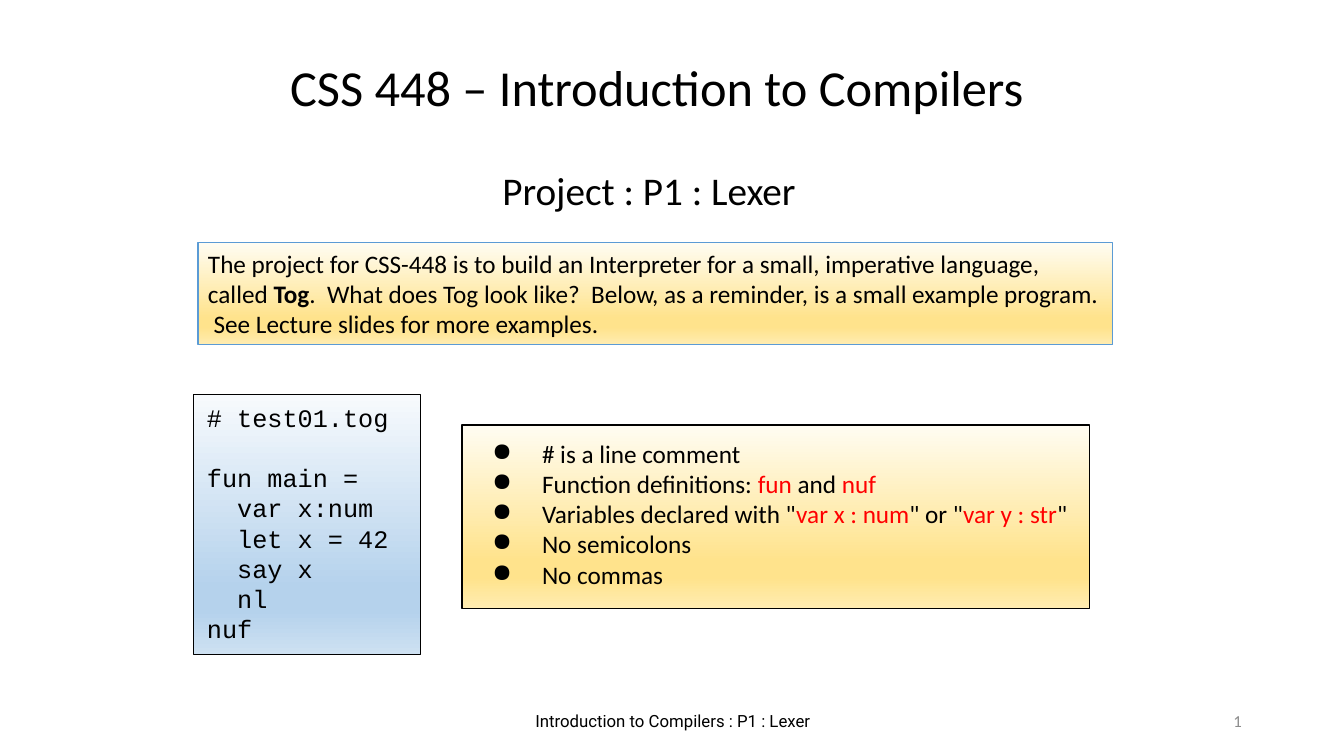
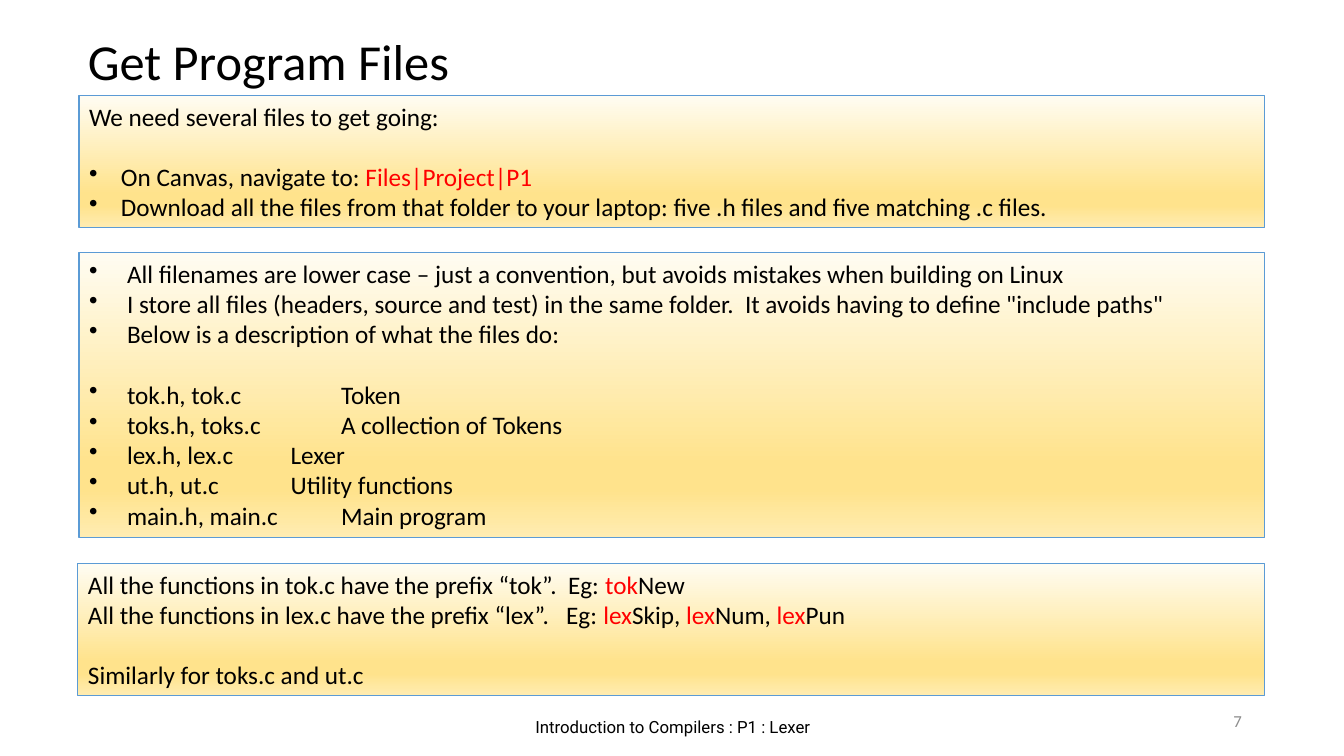
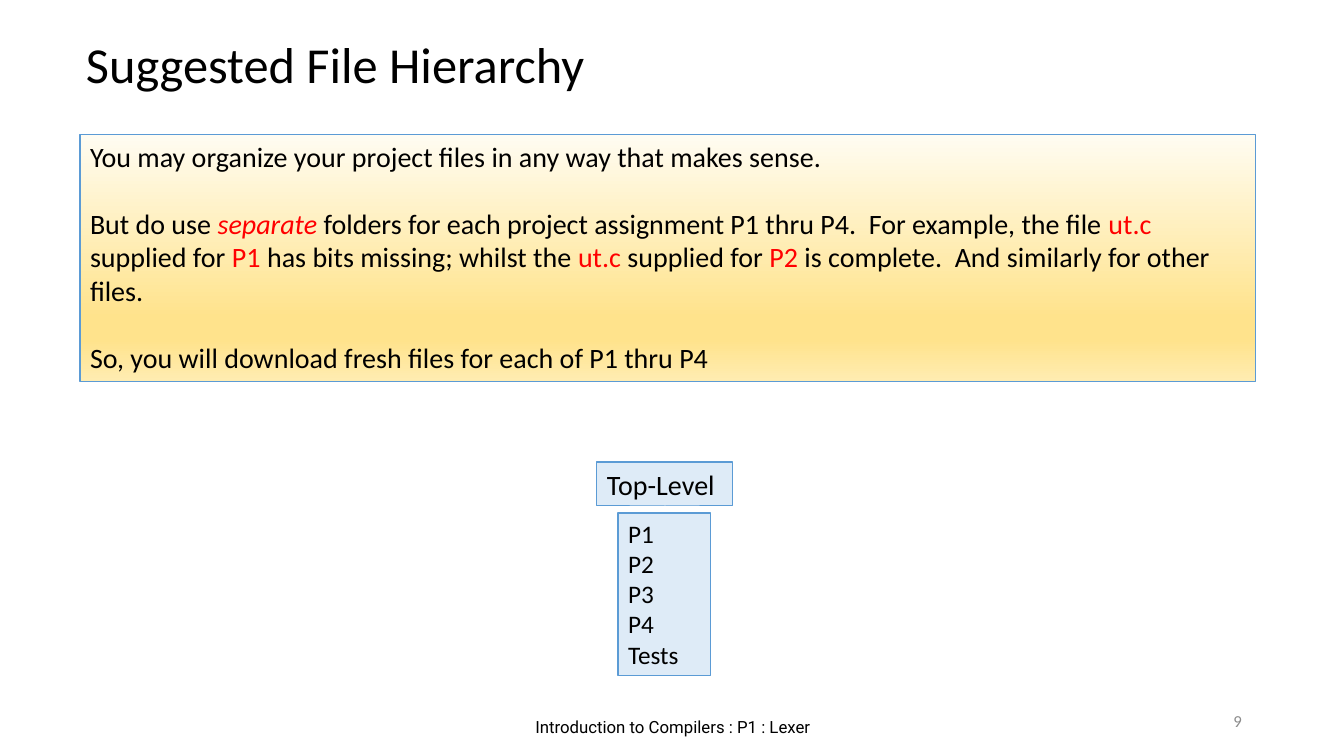
from dataclasses import dataclass

from pptx import Presentation
from pptx.dml.color import RGBColor
from pptx.enum.shapes import MSO_SHAPE
from pptx.enum.text import MSO_ANCHOR, PP_ALIGN
from pptx.oxml import parse_xml
from pptx.oxml.ns import nsdecls
from pptx.util import Emu, Pt


@dataclass(frozen=True)
class Theme:
    sans: str = "Calibri"
    mono: str = "Courier New"
    footer_font: str = "Roboto"
    black: str = "000000"
    red: str = "FF0000"
    grey: str = "8C8C8C"
    border: str = "5B9BD5"
    pale_blue: str = "DEEBF7"
    gold: tuple = ("FFFCF2", "FFE38C", "FFE38C", "FFECB2")
    blue: tuple = ("F7FAFD", "B5D2EC", "B5D2EC", "CEE1F2")
    stops: tuple = (0, 74, 83, 100)
    title: int = 36
    subtitle: int = 28
    large: int = 20
    body: int = 18
    small: int = 12
    line_height: float = 1.2


T = Theme()
BULLETS = ("•", "●")
TIGHT, ROOMY, EVEN = (10, 5), (13, 7), (13, 13)


def px(n):
    return Emu(round(n * 914400 / 100.8))


def add_text(s, at, paragraphs, size=T.body, font=T.sans, color=T.black,
             fill=None, line=T.border, inset=TIGHT, align=PP_ALIGN.LEFT,
             anchor=MSO_ANCHOR.TOP, spacing=None, indent=(0, 0)):
    """Add a text box, or a bordered rectangle when a fill is given.

    A paragraph is a string or a list of strings and (text, style) pairs;
    None leaves a line free, and a leading bullet makes a list item.
    indent is (text indent, hanging part) in px.
    """
    frame = [px(n) for n in at]
    if fill is None:
        sp = s.shapes.add_textbox(*frame)
    else:
        sp = s.shapes.add_shape(MSO_SHAPE.RECTANGLE, *frame)
        sp.shadow.inherit = False
        sp.line.color.rgb = RGBColor.from_string(line)
        sp.line.width = Pt(0.75)
        if isinstance(fill, str):
            sp.fill.solid()
            sp.fill.fore_color.rgb = RGBColor.from_string(fill)
        else:
            stops = "".join(
                f'<a:gs pos="{pos * 1000}"><a:srgbClr val="{c}"/></a:gs>'
                for pos, c in zip(T.stops, fill))
            sp._element.spPr.insert(2, parse_xml(
                f'<a:gradFill {nsdecls("a")} rotWithShape="1"><a:gsLst>{stops}'
                '</a:gsLst><a:lin ang="5400000" scaled="0"/></a:gradFill>'))
    tf = sp.text_frame
    tf.word_wrap = True
    tf.vertical_anchor = anchor
    tf.margin_left = tf.margin_right = px(inset[0])
    tf.margin_top = tf.margin_bottom = px(inset[1])

    p, gap = None, 0
    for item in paragraphs:
        if item is None:
            gap = size * T.line_height
            continue
        p = tf.paragraphs[0] if p is None else tf.add_paragraph()
        p.alignment = align
        p.font.size, p.font.name = Pt(size), font
        p.font.color.rgb = RGBColor.from_string(color)
        if spacing:
            p.line_spacing = spacing
        if gap:
            p.space_before, gap = Pt(gap), 0
        runs = [item] if isinstance(item, str) else list(item)
        if runs[0][0] in BULLETS:
            pPr = p._p.get_or_add_pPr()
            pPr.set("marL", str(px(indent[0])))
            pPr.set("indent", str(-px(indent[1])))
            bullet = parse_xml(f'<a:buChar {nsdecls("a")} char="{runs[0][0]}"/>')
            pPr.insert_element_before(bullet, "a:tabLst", "a:defRPr", "a:extLst")
            runs[0] = runs[0][2:]
        for run in runs:
            text, style = (run, "") if isinstance(run, str) else run
            r = p.add_run()
            r.text = text
            r.font.size, r.font.name = Pt(size), font
            r.font.color.rgb = RGBColor.from_string(T.red if "red" in style else color)
            if "bold" in style:
                r.font.bold = True
            if "italic" in style:
                r.font.italic = True


prs = Presentation()
prs.slide_width, prs.slide_height = px(1344), px(756)

slides = []
for number, footer_top in ((1, 701), (7, 707), (9, 707)):
    s = prs.slides.add_slide(prs.slide_layouts[6])
    add_text(s, (446, footer_top, 454, 40), ["Introduction to Compilers : P1 : Lexer"],
             T.small, T.footer_font, align=PP_ALIGN.CENTER, anchor=MSO_ANCHOR.MIDDLE)
    add_text(s, (950, 701, 302, 40), [str(number)], T.small, color=T.grey,
             align=PP_ALIGN.RIGHT, anchor=MSO_ANCHOR.MIDDLE)
    slides.append(s)
intro, files, hierarchy = slides

# Introduction
add_text(intro, (277, 58, 830, 66), ["CSS 448 – Introduction to Compilers"], T.title,
         inset=ROOMY, anchor=MSO_ANCHOR.BOTTOM, spacing=0.9)
add_text(intro, (400, 159, 498, 65), ["Project : P1 : Lexer"], T.subtitle,
         inset=ROOMY, align=PP_ALIGN.CENTER)
add_text(intro, (198, 243, 915, 102), [
    ["The project for CSS-448 is to build an Interpreter for a small, imperative "
     "language, called ", ("Tog", "bold"),
     ".  What does Tog look like?  Below, as a reminder, is a small example program.  "
     "See Lecture slides for more examples."],
], fill=T.gold)
add_text(intro, (194, 395, 227, 260), [
    "# test01.tog",
    None,
    "fun main =",
    "  var x:num",
    "  let x = 42",
    "  say x",
    "  nl",
    "nuf",
], font=T.mono, fill=T.blue, line=T.black, inset=ROOMY,
    spacing=Pt(T.body * T.line_height))
add_text(intro, (462, 425, 628, 184), [
    "● # is a line comment",
    ["● Function definitions: ", ("fun", "red"), " and ", ("nuf", "red")],
    ["● Variables declared with \"", ("var x : num", "red"), "\" or \"",
     ("var y : str", "red"), "\""],
    "● No semicolons",
    "● No commas",
], fill=T.gold, line=T.black, inset=EVEN, indent=(67, 50))

# Program files
add_text(files, (78, 25, 464, 72), ["Get Program Files"], T.title)
add_text(files, (79, 96, 1186, 132), [
    "We need several files to get going:",
    None,
    ["• On Canvas, navigate to: ", ("Files|Project|P1", "red")],
    "• Download all the files from that folder to your laptop: "
    "five .h files and five matching .c files.",
], fill=T.gold, indent=(32, 32))
add_text(files, (79, 253, 1186, 285), [
    "• All filenames are lower case – just a convention, "
    "but avoids mistakes when building on Linux",
    "• I store all files (headers, source and test) in the same folder.  "
    "It avoids having to define \"include paths\"",
    "• Below is a description of what the files do:",
    None,
    "• tok.h, tok.c\t\tToken",
    "• toks.h, toks.c\t\tA collection of Tokens",
    "• lex.h, lex.c\t\tLexer",
    "• ut.h, ut.c\t\tUtility functions",
    "• main.h, main.c\t\tMain program",
], fill=T.gold, indent=(38, 38))
add_text(files, (78, 564, 1187, 132), [
    ["All the functions in tok.c have the prefix “tok”.  Eg: ", ("tok", "red"), "New"],
    ["All the functions in lex.c have the prefix “lex”.   Eg: ", ("lex", "red"), "Skip, ",
     ("lex", "red"), "Num, ", ("lex", "red"), "Pun"],
    None,
    "Similarly for toks.c and ut.c",
], fill=T.gold)

# File hierarchy
add_text(hierarchy, (76, 28, 610, 72), ["Suggested File Hierarchy"], T.title)
add_text(hierarchy, (80, 134, 1176, 248), [
    "You may organize your project files in any way that makes sense.",
    None,
    ["But do use ", ("separate", "red italic"),
     " folders for each project assignment P1 thru P4.  For example, the file ",
     ("ut.c", "red"), " supplied for ", ("P1", "red"), " has bits missing; whilst the ",
     ("ut.c", "red"), " supplied for ", ("P2", "red"),
     " is complete.  And similarly for other files."],
    None,
    "So, you will download fresh files for each of P1 thru P4",
], T.large, fill=T.gold)
add_text(hierarchy, (597, 462, 136, 44), ["Top-Level"], T.large, fill=T.pale_blue)
add_text(hierarchy, (618, 513, 93, 163), ["P1", "P2", "P3", "P4", "Tests"],
         fill=T.pale_blue)

prs.save("out.pptx")
